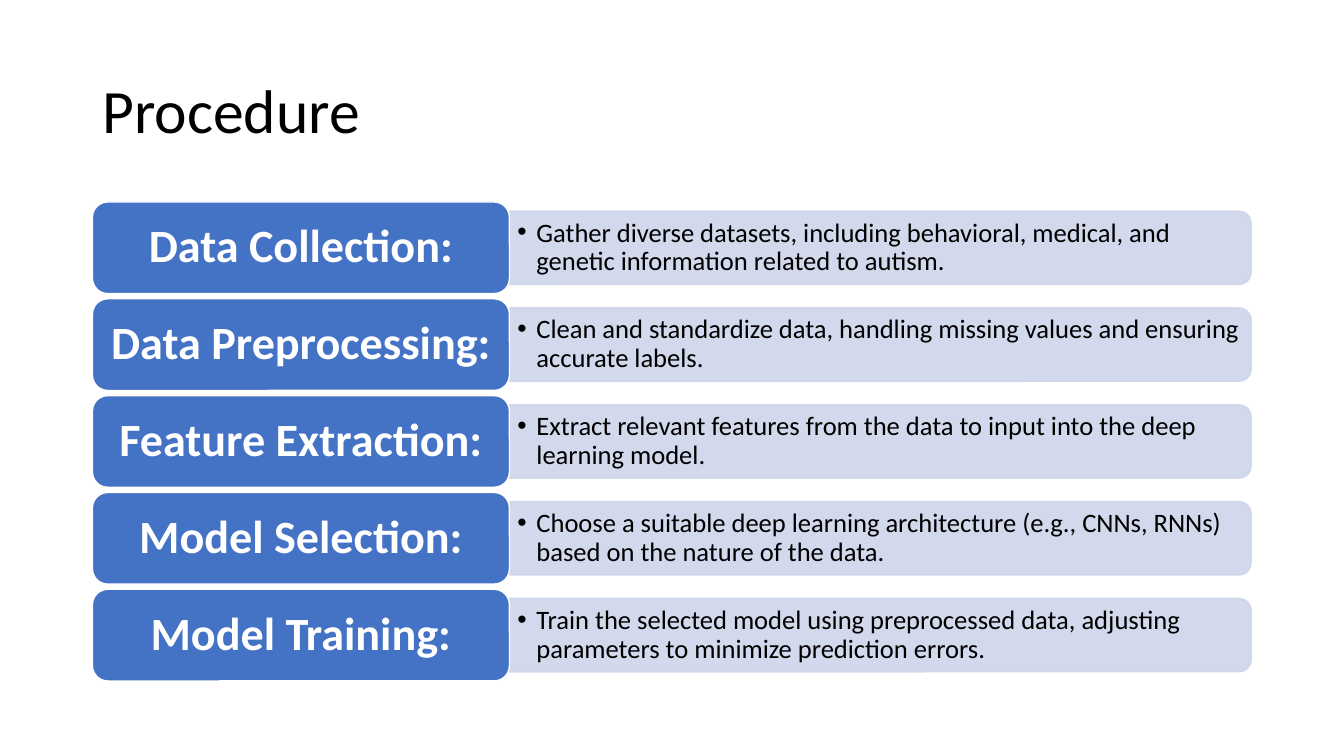
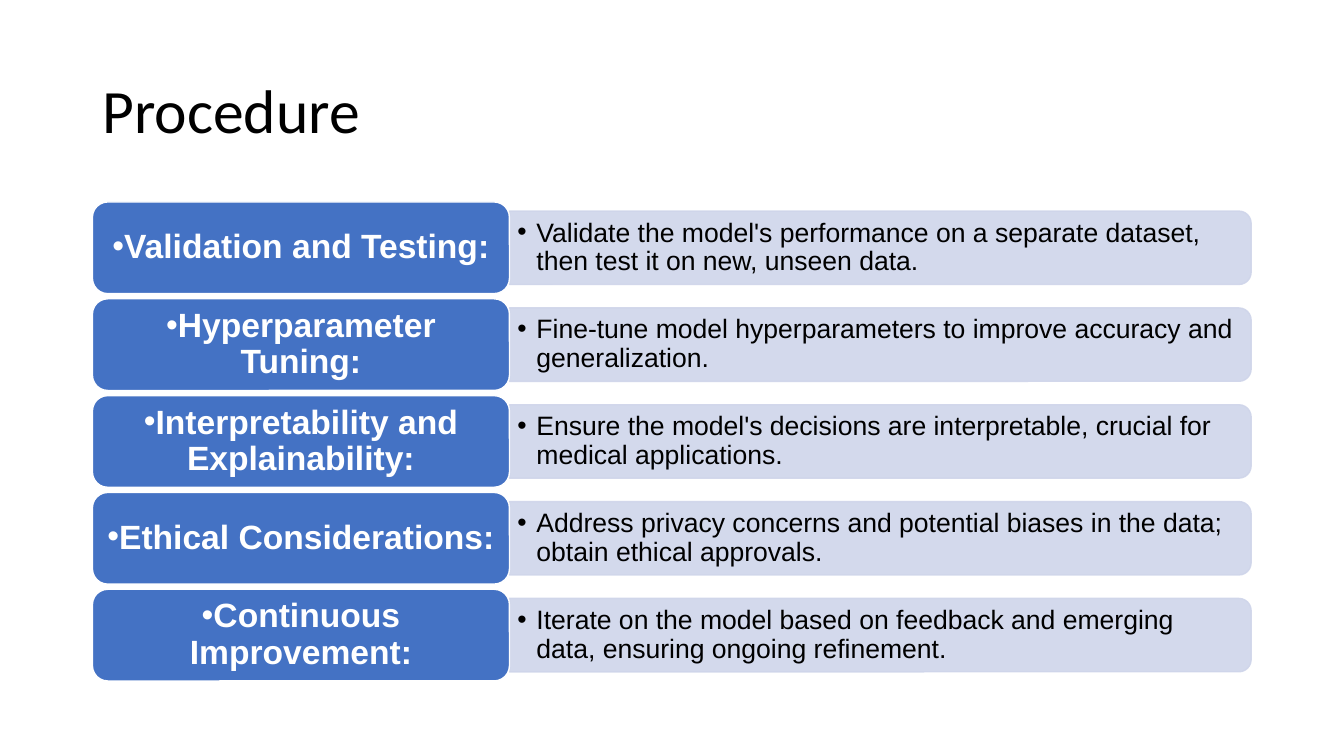
from lxml.etree import SubElement
from pptx import Presentation
from pptx.dml.color import RGBColor
from pptx.enum.shapes import MSO_SHAPE
from pptx.enum.text import MSO_ANCHOR, PP_ALIGN
from pptx.oxml.ns import qn
from pptx.util import Cm, Pt

BLACK = RGBColor(0x00, 0x00, 0x00)
WHITE = RGBColor(0xFF, 0xFF, 0xFF)
BLUE = RGBColor(0x44, 0x72, 0xC4)
PALE = RGBColor(0xCF, 0xD5, 0xEA)

# Row grid: a label on the left, a bar joined to its right side
LABEL_X, LABEL_W, LABEL_H = Cm(2.33), Cm(10.51), Cm(2.31)
BAR_X, BAR_W, BAR_H = LABEL_X + LABEL_W, Cm(18.69), Cm(1.85)
DETAIL_W, DETAIL_H = Cm(18.6), Cm(1.68)
FIRST_Y, STEP = Cm(5.09), Cm(2.44)
BULLET_INDENT = Cm(0.48)

# Label font, label size, bulleted labels, rows
SLIDES = [
    ("Calibri", 33, False, [
        ("Data Collection:", "Gather diverse datasets, including behavioral, medical, and "
         "genetic information related to autism."),
        ("Data Preprocessing:", "Clean and standardize data, handling missing values and "
         "ensuring accurate labels."),
        ("Feature Extraction:", "Extract relevant features from the data to input into the "
         "deep learning model."),
        ("Model Selection:", "Choose a suitable deep learning architecture (e.g., CNNs, RNNs) "
         "based on the nature of the data."),
        ("Model Training:", "Train the selected model using preprocessed data, adjusting "
         "parameters to minimize prediction errors."),
    ]),
    ("Arial", 24, True, [
        ("Validation and Testing:", "Validate the model's performance on a separate dataset, "
         "then test it on new, unseen data."),
        ("Hyperparameter Tuning:", "Fine-tune model hyperparameters to improve accuracy and "
         "generalization."),
        ("Interpretability and Explainability:", "Ensure the model's decisions are "
         "interpretable, crucial for medical applications."),
        ("Ethical Considerations:", "Address privacy concerns and potential biases in the "
         "data; obtain ethical approvals."),
        ("Continuous Improvement:", "Iterate on the model based on feedback and emerging "
         "data, ensuring ongoing refinement."),
    ]),
]


def write(sp, text, font, size, color, inset=(0.25, 0.13), align=PP_ALIGN.LEFT,
          bold=False, bullet=False, indent=0):
    tf = sp.text_frame
    tf.word_wrap = True
    tf.vertical_anchor = MSO_ANCHOR.MIDDLE
    tf.margin_left = tf.margin_right = Cm(inset[0])
    tf.margin_top = tf.margin_bottom = Cm(inset[1])
    p = tf.paragraphs[0]
    p.alignment = align
    p.line_spacing = 0.9
    if bullet:
        pPr = p._p.get_or_add_pPr()
        pPr.set("marL", str(indent))
        pPr.set("indent", str(-indent))
        SubElement(pPr, qn("a:buFont"), typeface="Arial")
        SubElement(pPr, qn("a:buChar"), char="•")
    r = p.add_run()
    r.text = text
    r.font.name, r.font.size, r.font.bold = font, Pt(size), bold
    r.font.color.rgb = color


def add_box(s, kind, x, y, w, h, fill, line):
    sp = s.shapes.add_shape(kind, x, y, w, h)
    sp.shadow.inherit = False
    sp.fill.solid()
    sp.fill.fore_color.rgb = fill
    sp.line.color.rgb = line
    sp.line.width = Pt(1)
    return sp


prs = Presentation()
prs.slide_width, prs.slide_height = Cm(33.87), Cm(19.05)

for font, label_size, bulleted, rows in SLIDES:
    s = prs.slides.add_slide(prs.slide_layouts[6])

    # Title
    title = s.shapes.add_textbox(LABEL_X, Cm(1.01), Cm(29.21), Cm(3.68))
    write(title, "Procedure", "Calibri", 44, BLACK)

    for i, (label, detail) in enumerate(rows):
        y = FIRST_Y + i * STEP
        mid_x, mid_y = BAR_X + BAR_W // 2, y + LABEL_H // 2

        # Bar, turned so that its rounded corners face right
        bar = add_box(s, MSO_SHAPE.ROUND_2_SAME_RECTANGLE, mid_x - BAR_H // 2,
                      mid_y - BAR_W // 2, BAR_H, BAR_W, PALE, PALE)
        bar.rotation = 90
        for clr in bar._element.spPr.iter(qn("a:srgbClr")):
            SubElement(clr, qn("a:alpha"), val="90000")

        # Detail text, kept level over the turned bar
        tb = s.shapes.add_textbox(BAR_X, mid_y - DETAIL_H // 2, DETAIL_W, DETAIL_H)
        write(tb, detail, font, 19, BLACK, inset=(0.2, 0.1), bullet=True,
              indent=BULLET_INDENT)

        # Label
        sp = add_box(s, MSO_SHAPE.ROUNDED_RECTANGLE, LABEL_X, y, LABEL_W, LABEL_H, BLUE, WHITE)
        write(sp, label, font, label_size, WHITE, align=PP_ALIGN.CENTER, bold=True,
              bullet=bulleted)

prs.save("out.pptx")
